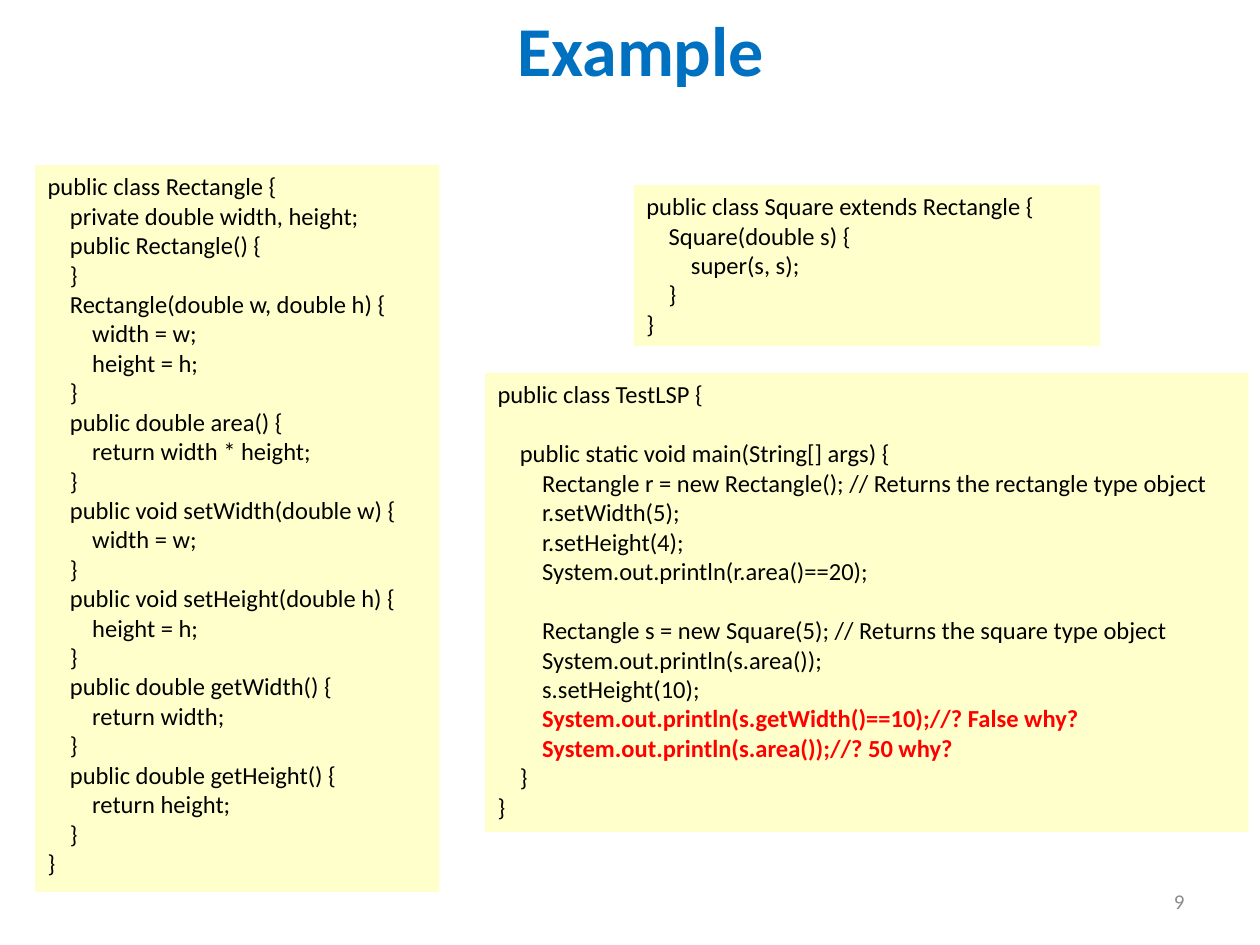
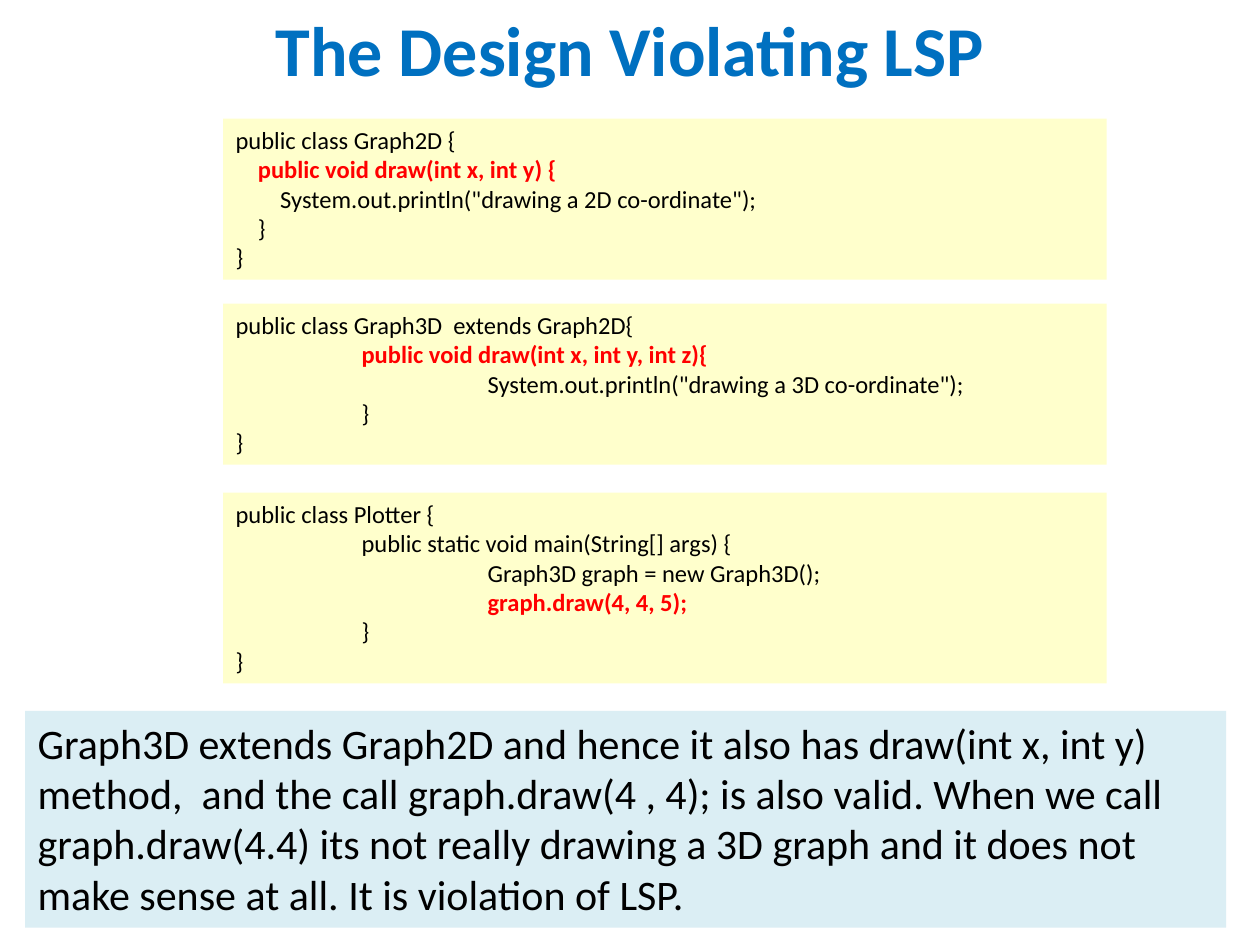
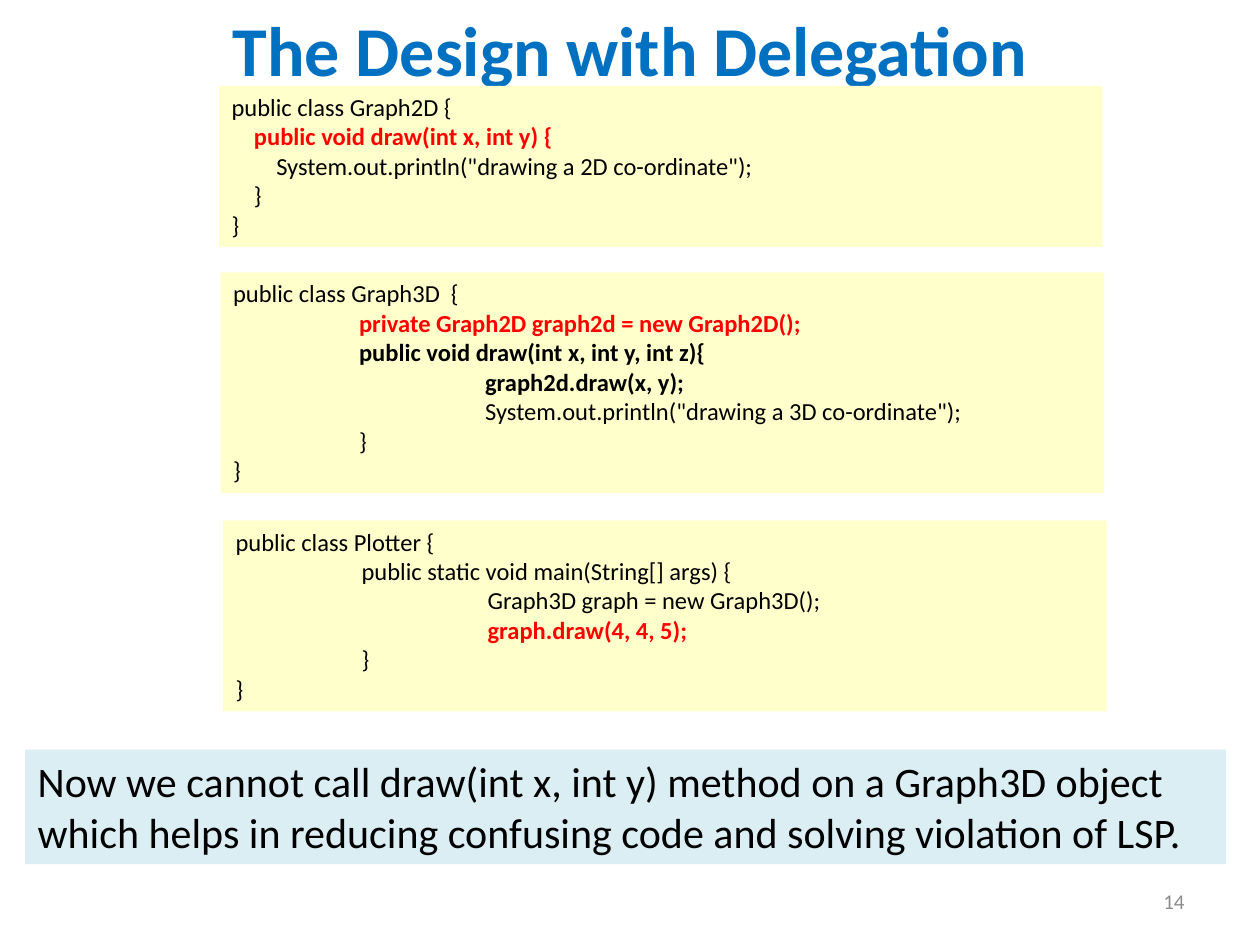
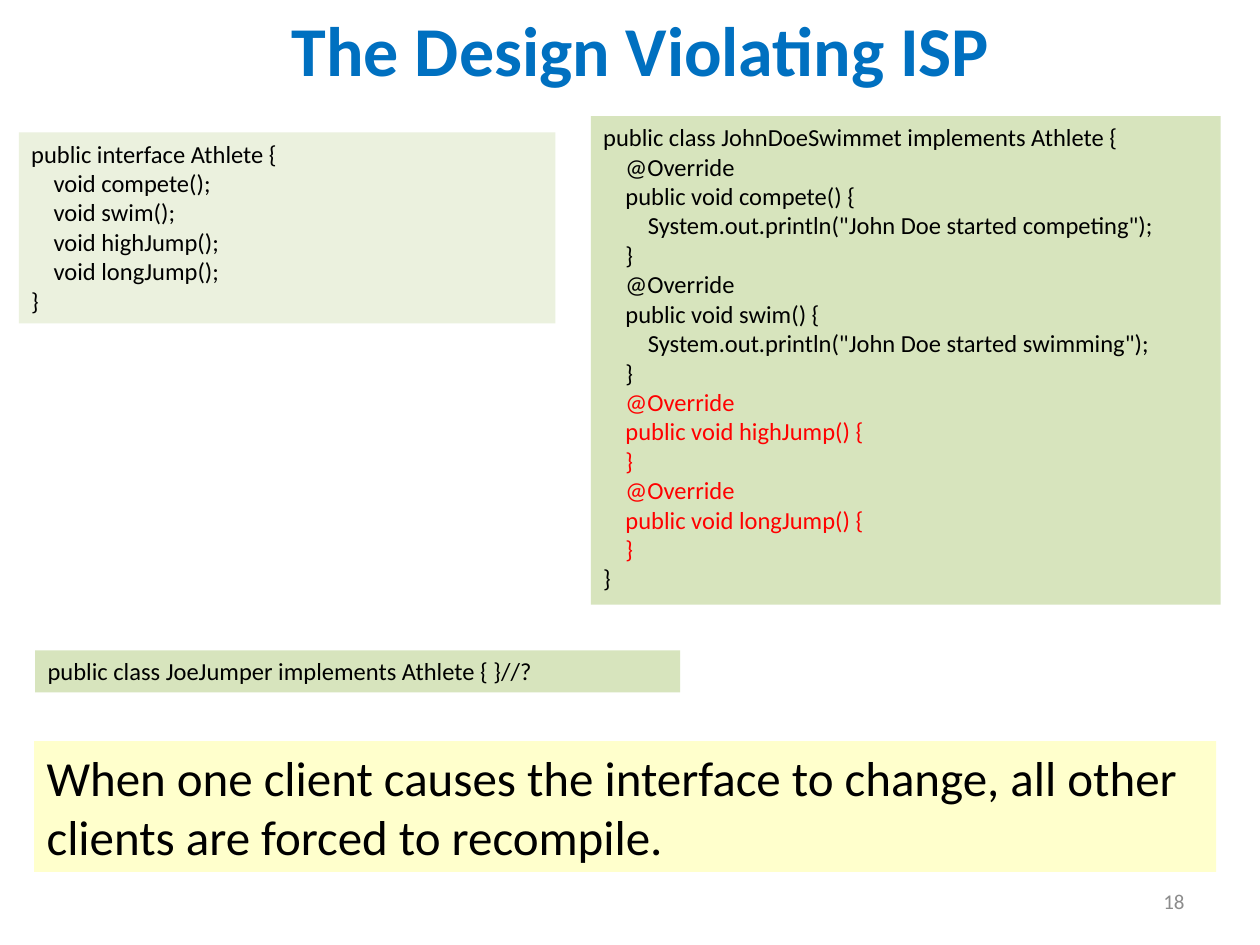
"""Build four slides on the Liskov and interface segregation principles."""
from pptx import Presentation
from pptx.dml.color import RGBColor
from pptx.enum.text import MSO_ANCHOR, PP_ALIGN
from pptx.util import Cm, Pt

FONT = "Calibri"
BLACK, RED, BLUE, GREY = "000000", "FF0000", "0070C0", "8C8C8C"
CREAM, AQUA, PALE, GREEN = "FFFFCC", "DBEEF4", "EBF1DE", "D7E4BD"
MARKS = {"!": (RED, True), "*": (BLACK, True), "~": (RED, False)}
SPACES, TAB = 0.45, 2.54
LINE, PAD = 0.6, 0.25
WIDE, SHIFTED = (0, 0, 25.4, 1.96), (2.31, 0, 21.21, 1.96)
FOOTER = (18.21, 17.65, 5.92, 1.02)

RECT = """public class Rectangle {
    private double width, height;
    public Rectangle() {
    }
    Rectangle(double w, double h) {
        width = w;
        height = h;
    }
    public double area() {
        return width * height;
    }
    public void setWidth(double w) {
        width = w;
    }
    public void setHeight(double h) {
        height = h;
    }
    public double getWidth() {
        return width;
    }
    public double getHeight() {
        return height;
    }
}"""
SQUARE = """public class Square extends Rectangle {
    Square(double s) {
        super(s, s);
    }
}"""
TEST = """public class TestLSP {

    public static void main(String[] args) {
        Rectangle r = new Rectangle(); // Returns the rectangle type object
        r.setWidth(5);
        r.setHeight(4);
        System.out.println(r.area()==20);

        Rectangle s = new Square(5); // Returns the square type object
        System.out.println(s.area());
        s.setHeight(10);
        !System.out.println(s.getWidth()==10);//? False why?
        !System.out.println(s.area());//? 50 why?
    }
}"""
FLAT = """public class Graph2D {
    !public void draw(int x, int y) {
        System.out.println("drawing a 2D co-ordinate");
    }
}"""
CHILD = """public class Graph3D  extends Graph2D{
    !public void draw(int x, int y, int z){
        System.out.println("drawing a 3D co-ordinate");
    }
}"""
HOLDER = """public class Graph3D  {
    !private Graph2D graph2d = new Graph2D();
    *public void draw(int x, int y, int z){
        *graph2d.draw(x, y);
        System.out.println("drawing a 3D co-ordinate");
    }
}"""
PLOTTER = """public class Plotter {
    public static void main(String[] args) {
        Graph3D graph = new Graph3D();
        !graph.draw(4, 4, 5);
    }
}"""
ATHLETE = """public interface Athlete {
    void compete();
    void swim();
    void highJump();
    void longJump();
}"""
SWIMMER = """public class JohnDoeSwimmet implements Athlete {
    @Override
    public void compete() {
        System.out.println("John Doe started competing");
    }
    @Override
    public void swim() {
        System.out.println("John Doe started swimming");
    }
    ~@Override
    ~public void highJump() {
    ~}
    ~@Override
    ~public void longJump() {
    ~}
}"""
JUMPER = "public class JoeJumper implements Athlete { }//?"

SLIDES = [
    {"title": "Example", "place": SHIFTED, "page": "9",
     "code": [(RECT, 0.71, 3.33, 8.15, CREAM, SPACES),
              (SQUARE, 12.78, 3.73, 9.4, CREAM, SPACES),
              (TEST, 9.78, 7.52, 15.39, CREAM, SPACES)]},
    {"title": "The Design Violating LSP", "place": WIDE,
     "code": [(FLAT, 4.5, 2.39, 17.81, CREAM, SPACES),
              (CHILD, 4.5, 6.12, 17.81, CREAM, TAB),
              (PLOTTER, 4.5, 9.93, 17.81, CREAM, TAB)],
     "note": ("Graph3D extends Graph2D and hence it also has draw(int x, int y) "
              "method,  and the call graph.draw(4 , 4); is also valid. When we "
              "call graph.draw(4.4) its not really drawing a 3D graph and it does "
              "not make sense at all. It is violation of LSP.",
              (0.51, 14.33, 24.21, 4.37), 24, AQUA)},
    {"title": "The Design with Delegation", "place": WIDE, "page": "14",
     "code": [(FLAT, 4.42, 1.73, 17.81, CREAM, SPACES),
              (HOLDER, 4.45, 5.49, 17.81, CREAM, TAB),
              (PLOTTER, 4.5, 10.49, 17.81, CREAM, TAB)],
     "note": ("Now we cannot call draw(int x, int y) method on a Graph3D object "
              "which helps in reducing confusing code and solving violation of LSP.",
              (0.51, 15.11, 24.21, 2.31), 24, AQUA)},
    {"title": "The Design Violating ISP", "place": SHIFTED, "page": "18",
     "code": [(ATHLETE, 0.38, 2.67, 10.82, PALE, SPACES),
              (SWIMMER, 11.91, 2.34, 12.7, GREEN, SPACES),
              (JUMPER, 0.71, 13.11, 13, GREEN, SPACES)],
     "note": ("When one client causes the interface to change, all other clients "
              "are forced to recompile.",
              (0.69, 14.94, 23.83, 2.64), 28, CREAM)},
]


def color(code):
    return RGBColor.from_string(code)


def add_box(slide, place, fill=None):
    box = slide.shapes.add_textbox(*map(Cm, place))
    box.text_frame.word_wrap = True
    if fill:
        box.fill.solid()
        box.fill.fore_color.rgb = color(fill)
    return box.text_frame


def style(para, size, ink=BLACK, bold=False):
    for run in para.runs:
        font = run.font
        font.name, font.size, font.bold = FONT, Pt(size), bold
        font.color.rgb = color(ink)


def add_text(slide, text, place, size, ink=BLACK, fill=None, bold=False,
             align=PP_ALIGN.LEFT):
    frame = add_box(slide, place, fill)
    frame.text = text
    para = frame.paragraphs[0]
    para.alignment = align
    style(para, size, ink, bold)
    return frame


def add_code(slide, code, left, top, width, fill, step):
    lines = code.split("\n")
    frame = add_box(slide, (left, top, width, LINE * len(lines) + PAD), fill)
    para, gap = frame.paragraphs[0], 0
    for row, line in enumerate(lines):
        text = line.lstrip()
        if not text:
            gap += LINE
            continue
        if row:
            para = frame.add_paragraph()
        level = (len(line) - len(text)) // 4
        ink, bold = MARKS.get(text[0], (BLACK, False))
        para.text = text[1:] if text[0] in MARKS else text
        if level:
            para._p.get_or_add_pPr().set("marL", str(Cm(step * level)))
        if gap:
            para.space_before = Cm(gap)
            gap = 0
        style(para, 14, ink, bold)


def main():
    deck = Presentation()
    deck.slide_width, deck.slide_height = Cm(25.4), Cm(19.05)
    for item in SLIDES:
        slide = deck.slides.add_slide(deck.slide_layouts[6])
        if "page" in item:
            page = add_text(slide, item["page"], FOOTER, 12, GREY,
                            align=PP_ALIGN.RIGHT)
            page.vertical_anchor = MSO_ANCHOR.MIDDLE
        add_text(slide, item["title"], item["place"], 40, BLUE, bold=True,
                 align=PP_ALIGN.CENTER)
        for part in item["code"]:
            add_code(slide, *part)
        if "note" in item:
            text, place, size, fill = item["note"]
            add_text(slide, text, place, size, fill=fill)
    deck.save("out.pptx")


if __name__ == "__main__":
    main()
